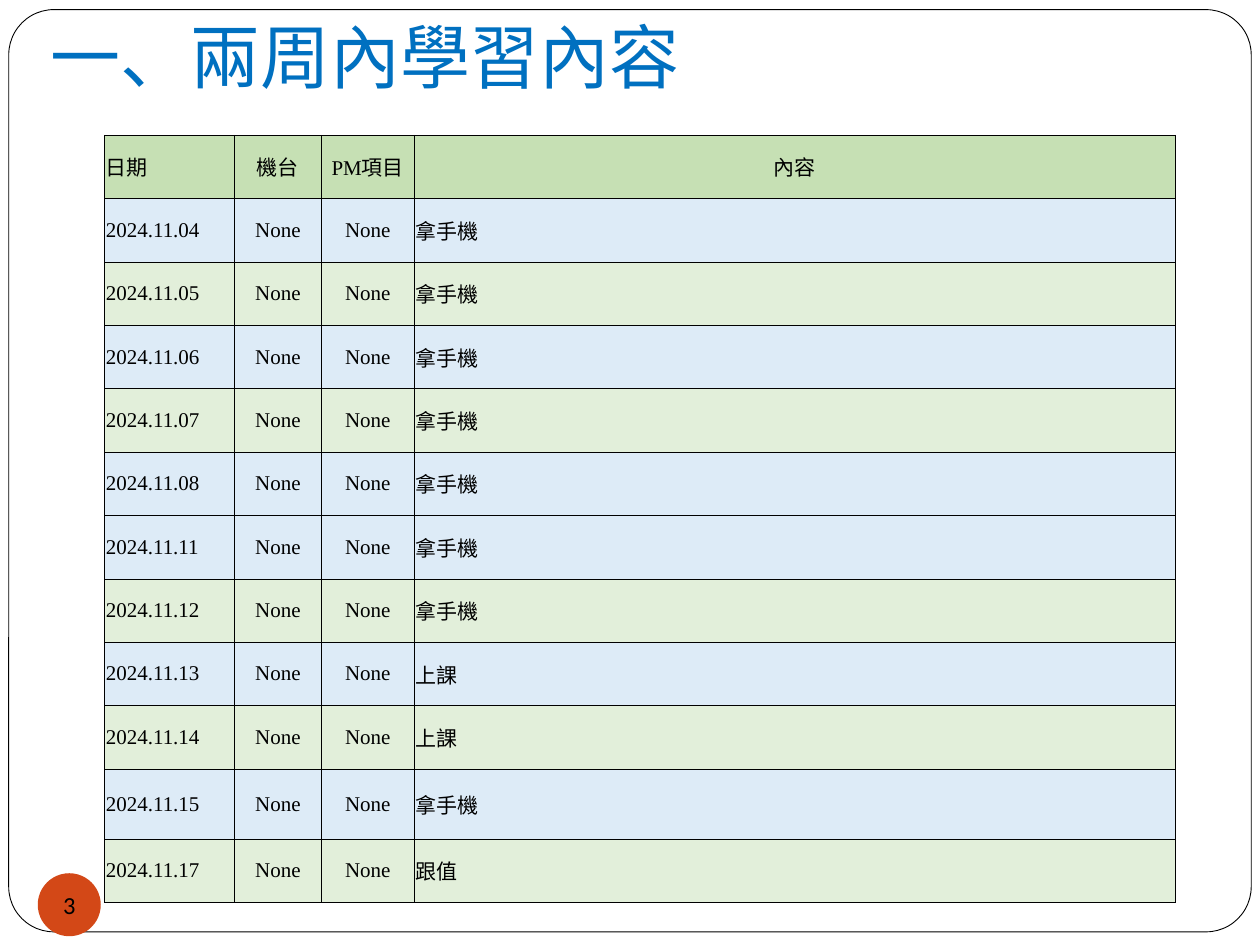
from lxml import etree
from pptx import Presentation
from pptx.dml.color import RGBColor
from pptx.enum.shapes import MSO_SHAPE
from pptx.enum.text import MSO_ANCHOR, MSO_AUTO_SIZE, PP_ALIGN
from pptx.oxml.ns import qn
from pptx.util import Pt

LEFT, CENTER = PP_ALIGN.LEFT, PP_ALIGN.CENTER
MIDDLE, BOTTOM = MSO_ANCHOR.MIDDLE, MSO_ANCHOR.BOTTOM
NO_FIT = MSO_AUTO_SIZE.NONE
ROUNDED, OVAL = MSO_SHAPE.ROUNDED_RECTANGLE, MSO_SHAPE.OVAL

BLACK = RGBColor(0x00, 0x00, 0x00)
WHITE = RGBColor(0xFF, 0xFF, 0xFF)
TITLE_BLUE = RGBColor(0x00, 0x70, 0xC0)
BADGE_ORANGE = RGBColor(0xD3, 0x48, 0x17)
HEADER_GREEN = RGBColor(0xC6, 0xE0, 0xB4)
DAY_FILLS = (RGBColor(0xDD, 0xEB, 0xF7), RGBColor(0xE2, 0xEF, 0xDA))

TITLE_FONT = {"name": "Noto Sans CJK SC", "size": Pt(40), "bold": False}
TABLE_FONT = {"name": "Times New Roman", "size": Pt(12), "bold": False}
BADGE_FONT = {"name": "Calibri", "size": Pt(14), "bold": False}
CELL_FORMAT = {
    "margin_left": Pt(0.72), "margin_right": Pt(0.72),
    "margin_top": Pt(3.6), "margin_bottom": Pt(3.6),
    "vertical_anchor": MIDDLE,
}
TITLE_FRAME = {
    "margin_left": Pt(7.2), "margin_right": Pt(7.2),
    "margin_top": Pt(3.6), "margin_bottom": Pt(7.2),
    "vertical_anchor": BOTTOM, "auto_size": NO_FIT, "word_wrap": True,
}
BADGE_FRAME = {
    "margin_left": 0, "margin_right": 0, "margin_top": 0, "margin_bottom": 0,
    "vertical_anchor": MIDDLE, "word_wrap": False,
}

HEADERS = ("日期", "機台", "PM項目", "內容")
WEEKS = (
    (("2024.11.04", "拿手機"), ("2024.11.05", "拿手機"), ("2024.11.06", "拿手機"),
     ("2024.11.07", "拿手機"), ("2024.11.08", "拿手機")),
    (("2024.11.11", "拿手機"), ("2024.11.12", "拿手機"), ("2024.11.13", "上課"),
     ("2024.11.14", "上課"), ("2024.11.15", "拿手機"), ("2024.11.17", "跟值")),
)
COLUMN_WIDTHS = (74.2, 49.7, 52.9, 435.2)
ROW_HEIGHT, TALL_ROW_HEIGHT, TALL_DATE = 36.25, 40, "2024.11.15"


def apply_format(target, values):
    """Set every attribute named in values on target."""
    for attribute, value in values.items():
        setattr(target, attribute, value)


def write_text(text_frame, text, font, color, alignment):
    """Fill a text frame with one formatted paragraph."""
    paragraph = text_frame.paragraphs[0]
    paragraph.alignment = alignment
    run = paragraph.add_run()
    run.text = text
    apply_format(run.font, font)
    run.font.color.rgb = color
    return run


def add_frame(slide, left, top, width, height):
    """Draw the rounded page border behind the title."""
    frame = slide.shapes.add_shape(ROUNDED, Pt(left), Pt(top), Pt(width), Pt(height))
    frame.adjustments[0] = 0.049
    frame.shadow.inherit = False
    frame.fill.solid()
    frame.fill.fore_color.rgb = WHITE
    frame.line.color.rgb = BLACK
    frame.line.width = Pt(0.5)
    slide.shapes.title._element.addprevious(frame._element)


def place_title(slide, text, left, top, width, height):
    """Position and format the title placeholder."""
    title = slide.shapes.title
    box = {"left": left, "top": top, "width": width, "height": height}
    apply_format(title, {side: Pt(length) for side, length in box.items()})
    apply_format(title.text_frame, TITLE_FRAME)
    run = write_text(title.text_frame, text, TITLE_FONT, TITLE_BLUE, LEFT)
    east_asian = etree.SubElement(run.font._element, qn("a:ea"))
    east_asian.set("typeface", TITLE_FONT["name"])


def add_borders(cell):
    """Give a cell thin black lines on all four sides."""
    properties = cell._tc.get_or_add_tcPr()
    for side in ("a:lnL", "a:lnR", "a:lnT", "a:lnB"):
        line = etree.SubElement(properties, qn(side), w=str(Pt(0.23)))
        fill = etree.SubElement(line, qn("a:solidFill"))
        etree.SubElement(fill, qn("a:srgbClr"), val=str(BLACK))


def fill_row(row, texts, alignments, color):
    """Write and format the cells of one table row."""
    for cell, text, alignment in zip(row.cells, texts, alignments):
        apply_format(cell, CELL_FORMAT)
        add_borders(cell)
        cell.fill.solid()
        cell.fill.fore_color.rgb = color
        write_text(cell.text_frame, text, TABLE_FONT, BLACK, alignment)


def add_schedule(slide, left, top):
    """Build the learning log, restarting the row colours each week."""
    days = [(date, content, DAY_FILLS[index % 2])
            for week in WEEKS for index, (date, content) in enumerate(week)]
    heights = [ROW_HEIGHT] + [TALL_ROW_HEIGHT if date == TALL_DATE else ROW_HEIGHT
                              for date, _, _ in days]
    table = slide.shapes.add_table(
        len(heights), len(HEADERS), Pt(left), Pt(top),
        Pt(sum(COLUMN_WIDTHS)), Pt(sum(heights))).table
    for column, width in zip(table.columns, COLUMN_WIDTHS):
        column.width = Pt(width)
    for row, height in zip(table.rows, heights):
        row.height = Pt(height)
    fill_row(table.rows[0], HEADERS, (LEFT, CENTER, CENTER, CENTER), HEADER_GREEN)
    for index, (date, content, color) in enumerate(days, start=1):
        fill_row(table.rows[index], (date, "None", "None", content),
                 (LEFT, CENTER, CENTER, LEFT), color)


def add_page_badge(slide, number, left, top, size):
    """Draw the round page number."""
    badge = slide.shapes.add_shape(OVAL, Pt(left), Pt(top), Pt(size), Pt(size))
    badge.shadow.inherit = False
    badge.fill.solid()
    badge.fill.fore_color.rgb = BADGE_ORANGE
    badge.line.fill.background()
    apply_format(badge.text_frame, BADGE_FRAME)
    write_text(badge.text_frame, number, BADGE_FONT, BLACK, CENTER)


def main():
    """Build the slide and save it."""
    presentation = Presentation()
    presentation.slide_width, presentation.slide_height = Pt(720), Pt(540)
    slide = presentation.slides.add_slide(presentation.slide_layouts[5])
    add_frame(slide, 5, 5.5, 710, 527)
    place_title(slide, "一、兩周內學習內容", 21.6, 5.6, 612, 57.6)
    add_schedule(slide, 59.8, 77.2)
    add_page_badge(slide, "3", 21.6, 499, 36)
    presentation.save("out.pptx")


if __name__ == "__main__":
    main()
